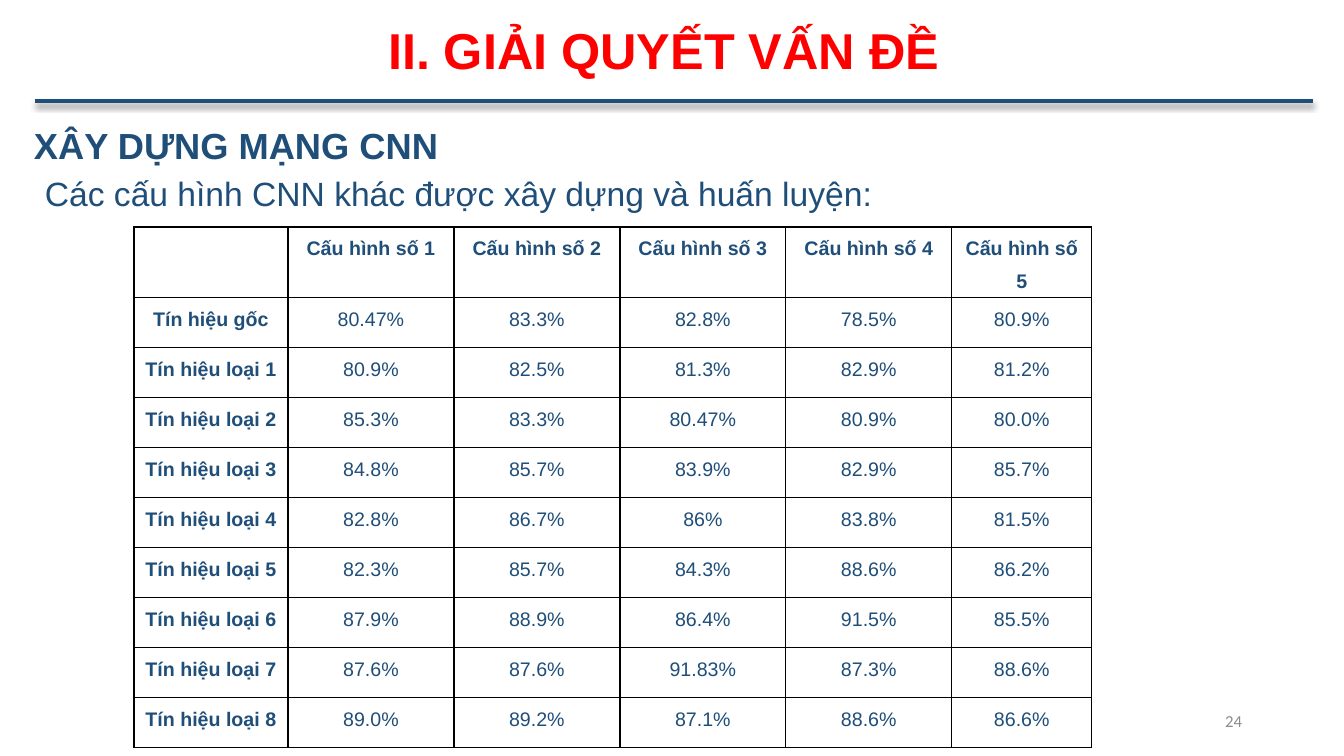
from lxml.etree import SubElement
from pptx import Presentation
from pptx.dml.color import RGBColor
from pptx.enum.shapes import MSO_CONNECTOR
from pptx.enum.text import MSO_ANCHOR, PP_ALIGN
from pptx.oxml import parse_xml
from pptx.oxml.ns import nsdecls, qn
from pptx.util import Emu, Pt

SCALE = 914400 / 100.8
NAVY = RGBColor(0x1F, 0x4E, 0x79)
RED = RGBColor(0xFF, 0x00, 0x00)
GRAY = RGBColor(0x8C, 0x8C, 0x8C)


def px(length):
    """Turn a length in px into EMU."""
    return Emu(round(length * SCALE))


def write(text_frame, text, size, color, bold=False, font="Arial", **paragraph_format):
    """Fill the first paragraph with one formatted run."""
    paragraph = text_frame.paragraphs[0]
    for name, value in paragraph_format.items():
        setattr(paragraph, name, value)
    run = paragraph.add_run()
    run.text = text
    run.font.color.rgb = color
    for name, value in {"size": Pt(size), "bold": bold, "name": font}.items():
        setattr(run.font, name, value)


presentation = Presentation()
presentation.slide_width = px(1344)
presentation.slide_height = px(756)
slide = presentation.slides.add_slide(presentation.slide_layouts[6])

# Rule under the title, with a soft shadow below it
rule = slide.shapes.add_connector(
    MSO_CONNECTOR.STRAIGHT, px(35), px(101), px(1313), px(101))
rule.line.color.rgb = NAVY
rule.line.width = Pt(3)
rule._element.spPr.append(parse_xml(
    f'<a:effectLst {nsdecls("a")}>'
    f'<a:outerShdw blurRad="{Pt(4)}" dist="{Pt(3)}" dir="5400000" rotWithShape="0">'
    '<a:srgbClr val="000000"><a:alpha val="40000"/></a:srgbClr>'
    '</a:outerShdw></a:effectLst>'))

# Text boxes: place, anchor, wording and format
text_boxes = [
    ((950, 701, 302, 40), MSO_ANCHOR.MIDDLE, "24",
     {"size": 12, "color": GRAY, "font": "Calibri", "alignment": PP_ALIGN.RIGHT}),
    ((178, 20, 972, 66), MSO_ANCHOR.MIDDLE, "II. GIẢI QUYẾT VẤN ĐỀ",
     {"size": 36, "color": RED, "bold": True, "alignment": PP_ALIGN.CENTER,
      "line_spacing": 0.9}),
    ((24, 101, 1159, 74), MSO_ANCHOR.TOP, "XÂY DỰNG MẠNG CNN",
     {"size": 25.9, "color": NAVY, "bold": True, "line_spacing": 1.4,
      "space_before": Pt(10)}),
    ((35, 168, 1148, 173), MSO_ANCHOR.TOP,
     "Các cấu hình CNN khác được xây dựng và huấn luyện:",
     {"size": 24, "color": NAVY}),
]
for place, anchor, text, text_format in text_boxes:
    text_frame = slide.shapes.add_textbox(*map(px, place)).text_frame
    text_frame.word_wrap = True
    text_frame.vertical_anchor = anchor
    write(text_frame, text, **text_format)

# Accuracy of each configuration for each kind of signal
accuracies = [
    ("80.47%", "83.3%", "82.8%", "78.5%", "80.9%"),
    ("80.9%", "82.5%", "81.3%", "82.9%", "81.2%"),
    ("85.3%", "83.3%", "80.47%", "80.9%", "80.0%"),
    ("84.8%", "85.7%", "83.9%", "82.9%", "85.7%"),
    ("82.8%", "86.7%", "86%", "83.8%", "81.5%"),
    ("82.3%", "85.7%", "84.3%", "88.6%", "86.2%"),
    ("87.9%", "88.9%", "86.4%", "91.5%", "85.5%"),
    ("87.6%", "87.6%", "91.83%", "87.3%", "88.6%"),
    ("89.0%", "89.2%", "87.1%", "88.6%", "86.6%"),
]
signals = ["Tín hiệu gốc"] + [f"Tín hiệu loại {number}" for number in range(1, 9)]
header = [""] + [f"Cấu hình số {number}" for number in range(1, 6)]
rows = [header] + [[signal, *values] for signal, values in zip(signals, accuracies)]
column_widths = [154, 166, 166, 166, 166, 140]
row_height = 50
cell_format = {"margin_left": px(7), "margin_right": px(7),
               "margin_top": 0, "margin_bottom": 0}

table = slide.shapes.add_table(
    len(rows), len(header), px(134), px(227),
    px(sum(column_widths)), px(row_height * len(rows))).table
table.first_row = False
table.horz_banding = False
for column, width in zip(table.columns, column_widths):
    column.width = px(width)

for row_index, row in enumerate(rows):
    table.rows[row_index].height = px(row_height)
    for column_index, text in enumerate(row):
        cell = table.cell(row_index, column_index)
        for name, value in cell_format.items():
            setattr(cell, name, value)
        if text:
            write(cell.text_frame, text, 14, NAVY,
                  bold=row_index == 0 or column_index == 0,
                  alignment=PP_ALIGN.CENTER, line_spacing=1.5)
        properties = cell._tc.get_or_add_tcPr()
        for side in ("a:lnL", "a:lnR", "a:lnT", "a:lnB"):
            border = SubElement(properties, qn(side), w=str(Pt(1)))
            SubElement(SubElement(border, qn("a:solidFill")), qn("a:srgbClr"), val="000000")
        cell.fill.background()

presentation.save("out.pptx")
